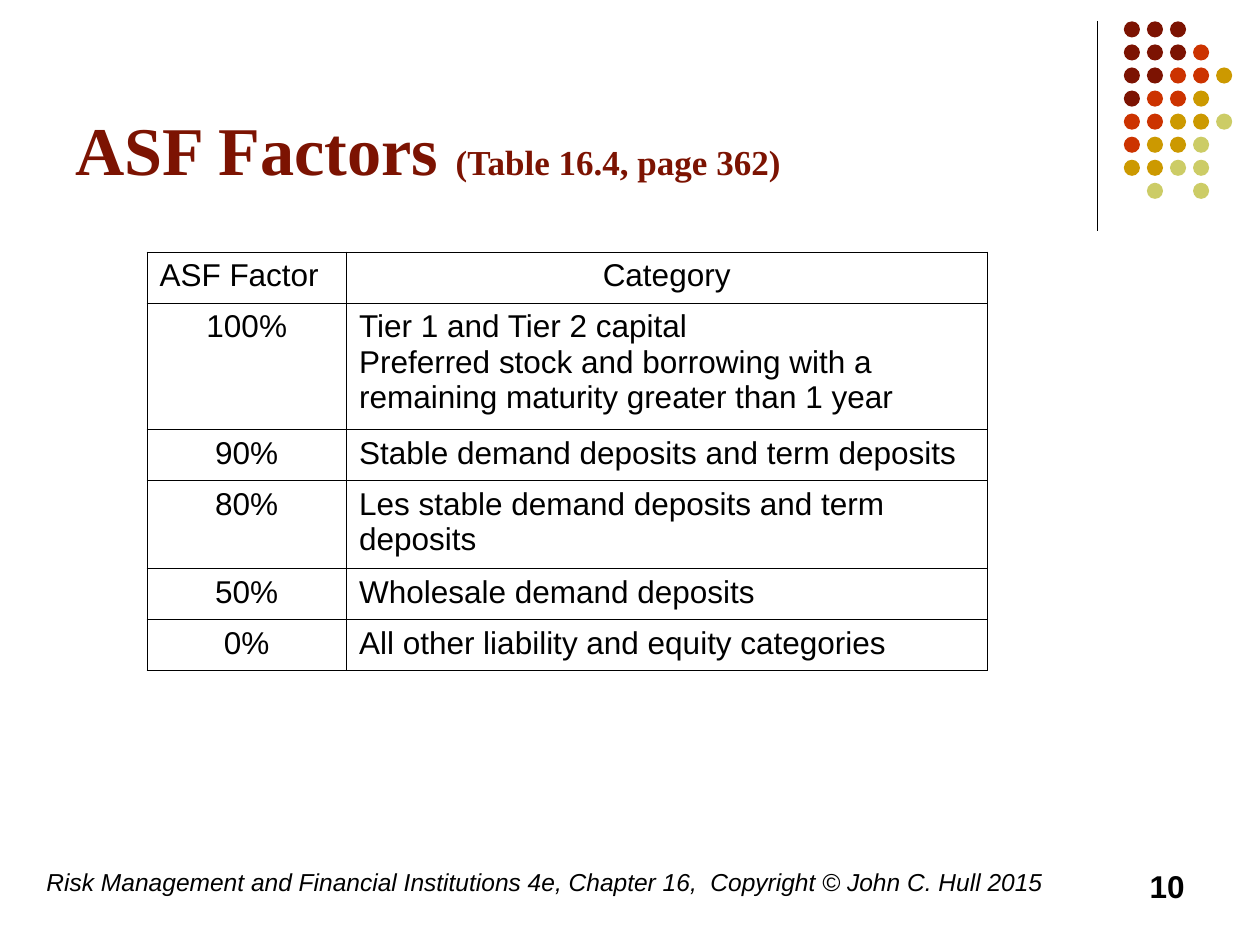
from lxml import etree
from pptx import Presentation
from pptx.dml.color import RGBColor
from pptx.enum.shapes import MSO_CONNECTOR, MSO_SHAPE
from pptx.enum.text import MSO_ANCHOR, PP_ALIGN
from pptx.oxml import parse_xml
from pptx.oxml.ns import nsdecls, qn
from pptx.util import Pt

STRAIGHT = MSO_CONNECTOR.STRAIGHT
ELLIPSE = MSO_SHAPE.OVAL
TOP, BOTTOM = MSO_ANCHOR.TOP, MSO_ANCHOR.BOTTOM
LEFT, CENTER, RIGHT = PP_ALIGN.LEFT, PP_ALIGN.CENTER, PP_ALIGN.RIGHT

BLACK = RGBColor(0x00, 0x00, 0x00)
MAROON = RGBColor(0x7C, 0x13, 0x02)
RED = RGBColor(0xCC, 0x33, 0x00)
GOLD = RGBColor(0xCC, 0x99, 0x00)
OLIVE = RGBColor(0xCC, 0xCC, 0x66)

DOT_COLORS = {"M": MAROON, "R": RED, "G": GOLD, "O": OLIVE}
DOT_ROWS = ["MMM", "MMMR", "MMRRG", "MRRG", "RRGGO", "RGGO", "GGOO", " O O"]

TABLE_ROWS = [
    (29.2, "ASF Factor", ["Category"]),
    (72, "100%", ["Tier 1 and Tier 2 capital",
                  "Preferred stock and borrowing with a remaining maturity greater than 1 year"]),
    (29.2, "90%", ["Stable demand deposits and term deposits"]),
    (50.4, "80%", ["Les stable demand deposits and term deposits"]),
    (29.2, "50%", ["Wholesale demand deposits"]),
    (29.2, "0%", ["All other liability and equity categories"]),
]


def add_span(para, text, size=18, font="Arial", color=BLACK, bold=False, italic=False):
    span = para.add_run()
    span.text = text
    span.font.size = Pt(size)
    span.font.name = font
    span.font.color.rgb = color
    span.font.bold = bold
    span.font.italic = italic


class SlideBuilder:
    def __init__(self, page, inset_x=7.2, inset_y=3.6, border_width=0.45):
        self.page = page
        self.inset_x = inset_x
        self.inset_y = inset_y
        self.border_width = border_width

    def set_insets(self, holder):
        holder.margin_left = holder.margin_right = Pt(self.inset_x)
        holder.margin_top = holder.margin_bottom = Pt(self.inset_y)

    def line(self, x1, y1, x2, y2, color=BLACK, width=0.75):
        line = self.page.shapes.add_connector(STRAIGHT, Pt(x1), Pt(y1), Pt(x2), Pt(y2))
        line.line.color.rgb = color
        line.line.width = Pt(width)
        etree.SubElement(line._element.spPr, qn("a:effectLst"))

    def dots(self, left, top, pitch, size):
        group = self.page.shapes.add_group_shape()
        for row, codes in enumerate(DOT_ROWS):
            for column, code in enumerate(codes):
                if code not in DOT_COLORS:
                    continue
                dot = group.shapes.add_shape(
                    ELLIPSE, Pt(left + column * pitch), Pt(top + row * pitch), Pt(size), Pt(size))
                dot.shadow.inherit = False
                dot.fill.solid()
                dot.fill.fore_color.rgb = DOT_COLORS[code]
                dot.line.fill.background()

    def text(self, left, top, width, height, spans, align=LEFT, anchor=TOP):
        box = self.page.shapes.add_textbox(Pt(left), Pt(top), Pt(width), Pt(height))
        frame = box.text_frame
        frame.word_wrap = True
        frame.vertical_anchor = anchor
        self.set_insets(frame)
        para = frame.paragraphs[0]
        para.alignment = align
        for text, style in spans:
            add_span(para, text, **style)

    def cell(self, cell, lines, align):
        self.set_insets(cell)
        frame = cell.text_frame
        for index, text in enumerate(lines):
            para = frame.add_paragraph() if index else frame.paragraphs[0]
            para.alignment = align
            add_span(para, text)
        properties = cell._tc.get_or_add_tcPr()
        for side in ("lnL", "lnR", "lnT", "lnB"):
            properties.append(parse_xml(
                f'<a:{side} {nsdecls("a")} w="{Pt(self.border_width)}"><a:solidFill>'
                f'<a:srgbClr val="{BLACK}"/></a:solidFill></a:{side}>'))
        cell.fill.background()

    def table(self, left, top, widths, rows):
        height = sum(row[0] for row in rows)
        table = self.page.shapes.add_table(
            len(rows), len(widths), Pt(left), Pt(top), Pt(sum(widths)), Pt(height)).table
        table.first_row = False
        table.horz_banding = False
        for column, width in zip(table.columns, widths):
            column.width = Pt(width)
        for index, (row_height, factor, categories) in enumerate(rows):
            header = index == 0
            table.rows[index].height = Pt(row_height)
            self.cell(table.cell(index, 0), [factor], LEFT if header else CENTER)
            self.cell(table.cell(index, 1), categories, CENTER if header else LEFT)


def main():
    deck = Presentation()
    deck.slide_width, deck.slide_height = Pt(720), Pt(540)
    builder = SlideBuilder(deck.slides.add_slide(deck.slide_layouts[6]))

    builder.line(627, 12, 627, 132)
    builder.dots(642.2, 12.2, 13.18, 9.2)

    heading = {"font": "Times New Roman", "color": MAROON, "bold": True}
    builder.text(36, 9.5, 594, 102, [
        ("ASF Factors ", {"size": 39, **heading}),
        ("(Table 16.4, page 362)", {"size": 20, **heading}),
    ], anchor=BOTTOM)

    builder.table(84, 144, [114, 366], TABLE_ROWS)

    builder.text(19.5, 492, 595.5, 36, [
        ("Risk Management and Financial Institutions 4e, Chapter 16,  Copyright © John C. Hull 2015",
         {"size": 14, "italic": True}),
    ])
    builder.text(516, 492, 168, 36, [("10", {"bold": True})], align=RIGHT)

    deck.save("out.pptx")


if __name__ == "__main__":
    main()
